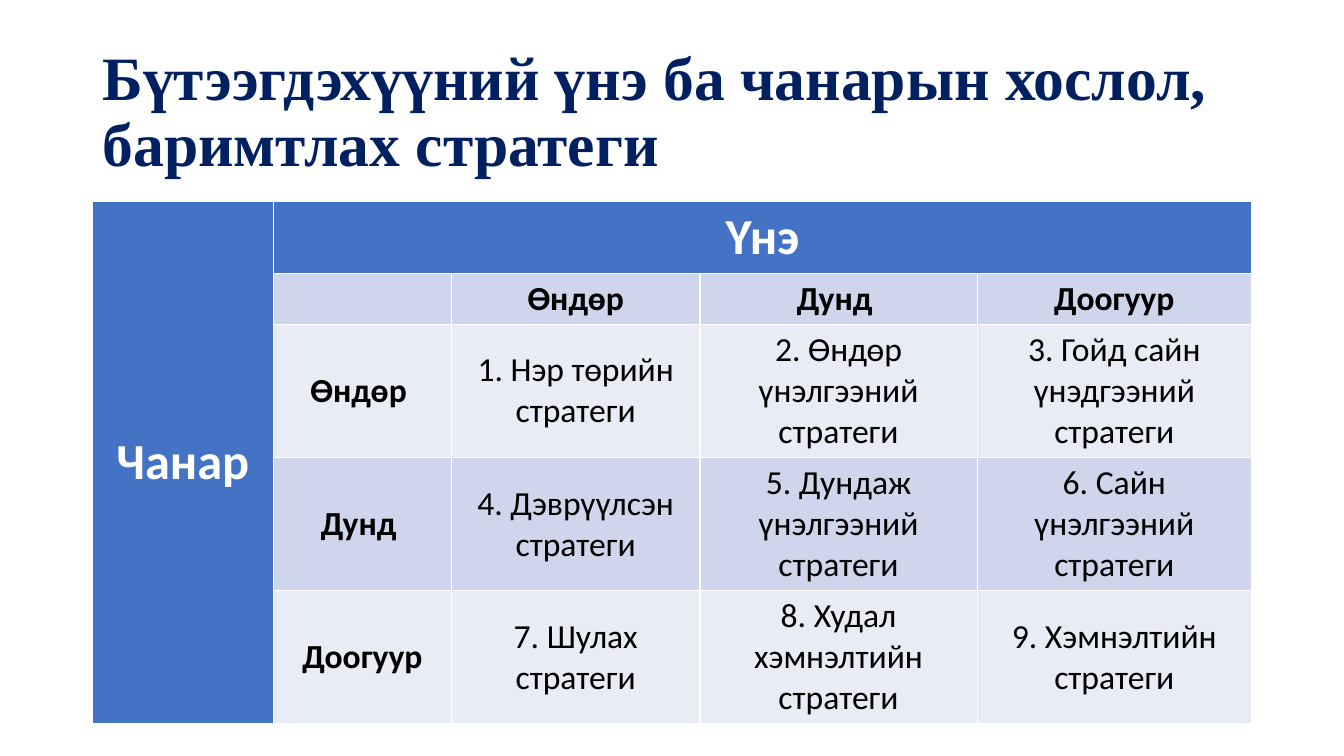
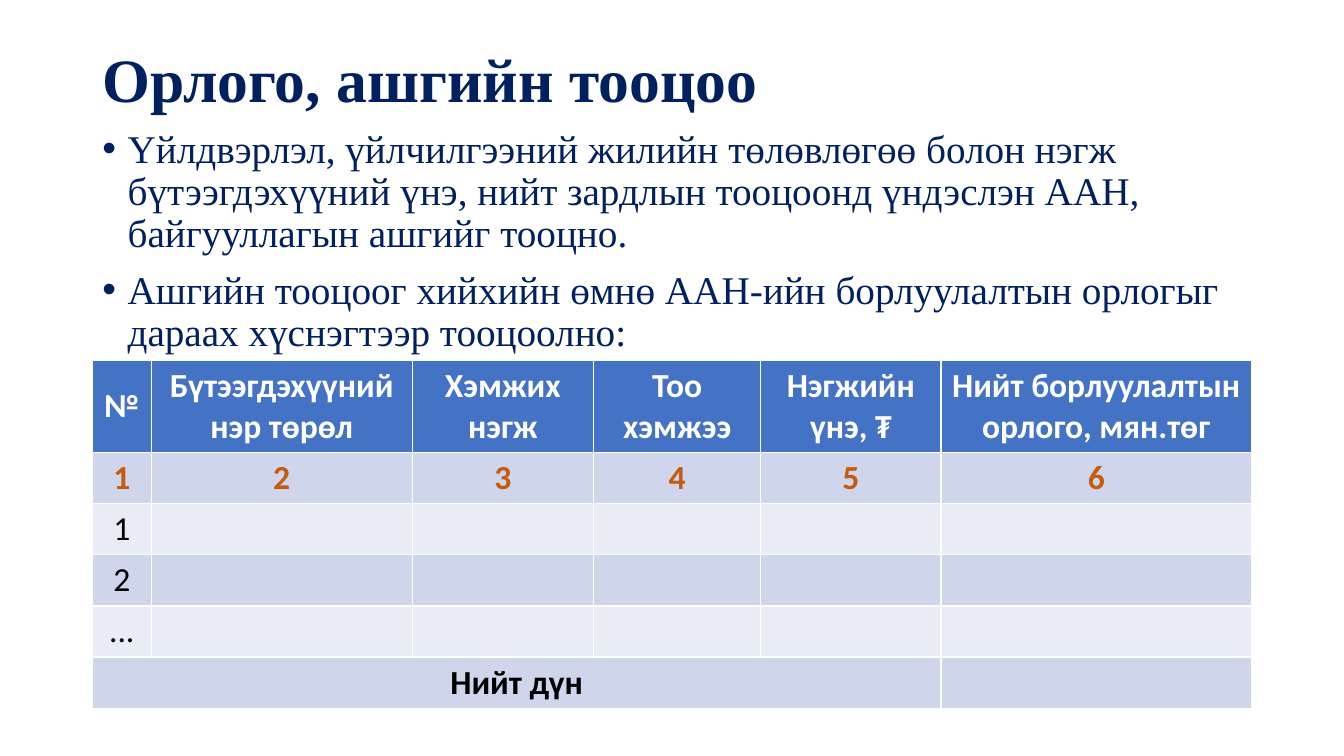
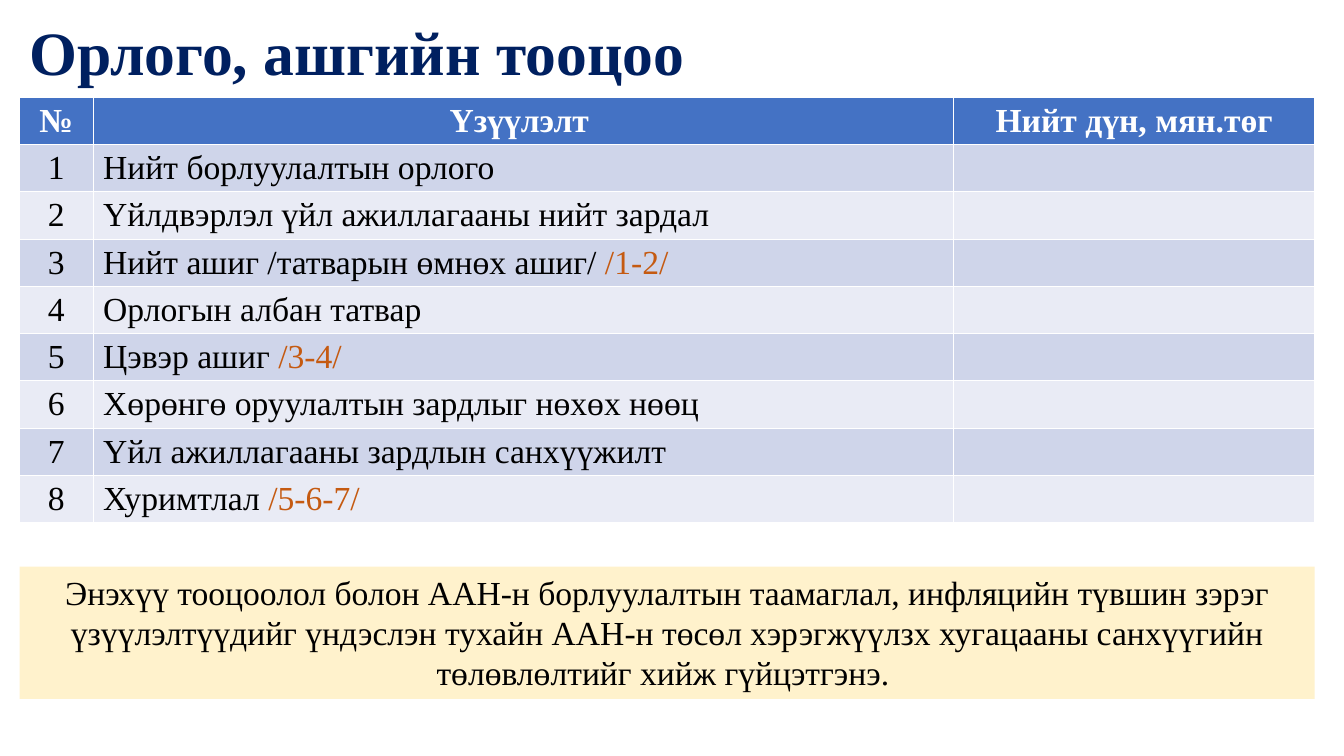
import pptx
import pptx.dml.color
import pptx.enum.shapes
import pptx.enum.text
import pptx.util

Pt = pptx.util.Pt
ALIGN = pptx.enum.text.PP_ALIGN
MIDDLE = pptx.enum.text.MSO_ANCHOR.MIDDLE

NAVY, BLUE, ORANGE = "002060", "4472C4", "C55A11"
BLACK, WHITE, CREAM = "000000", "FFFFFF", "FFF2CC"
BANDS = ("E9EBF5", "CFD5EA")
SERIF, SANS = "Times New Roman", "Calibri"
TITLE_ONLY, TITLE_AND_BODY = 5, 1


def rgb(value):
    return pptx.dml.color.RGBColor.from_string(value)


def write(p, text, size=24, font=SANS, color=BLACK, bold=False, align=ALIGN.CENTER):
    """Append one formatted run to a paragraph."""
    p.alignment = align
    r = p.add_run()
    r.text = text
    r.font.size = Pt(size)
    r.font.name = font
    r.font.bold = bold
    r.font.color.rgb = rgb(color)


def place(sp, box):
    sp.left, sp.top, sp.width, sp.height = (Pt(v) for v in box)


def add_slide(prs, layout, title, box):
    slide = prs.slides.add_slide(prs.slide_layouts[layout])
    for ph in list(slide.placeholders):
        if ph.placeholder_format.type in (
            pptx.enum.shapes.PP_PLACEHOLDER.DATE,
            pptx.enum.shapes.PP_PLACEHOLDER.FOOTER,
            pptx.enum.shapes.PP_PLACEHOLDER.SLIDE_NUMBER,
        ):
            ph.element.getparent().remove(ph.element)
    sp = slide.shapes.title
    place(sp, box)
    tf = sp.text_frame
    tf.auto_size = pptx.enum.text.MSO_AUTO_SIZE.NONE
    tf.vertical_anchor = MIDDLE
    p = tf.paragraphs[0]
    p.line_spacing = 0.9
    write(p, title, size=44, font=SERIF, color=NAVY, bold=True, align=ALIGN.LEFT)
    return slide


def add_bullets(slide, items, box):
    sp = slide.placeholders[1]
    place(sp, box)
    tf = sp.text_frame
    tf.auto_size = pptx.enum.text.MSO_AUTO_SIZE.NONE
    for i, item in enumerate(items):
        p = tf.add_paragraph() if i else tf.paragraphs[0]
        pPr = p._p.get_or_add_pPr()
        pPr.set("marL", str(Pt(18)))
        pPr.set("indent", str(Pt(-18)))
        p.line_spacing = 0.9
        p.space_before = Pt(10 if i else 0)
        write(p, item, size=28, font=SERIF, color=NAVY, align=ALIGN.LEFT)


def add_grid(slide, left, top, widths, heights, rows, style, merges=()):
    """Add a banded table; style(row, col) gives the text format of a cell.

    A cell is a string, or a pair of a string and an orange formula.
    """
    tbl = slide.shapes.add_table(
        len(heights), len(widths), Pt(left), Pt(top), Pt(sum(widths)), Pt(sum(heights))
    ).table
    tbl.horz_banding = False
    for col, width in zip(tbl.columns, widths):
        col.width = Pt(width)
    for row, height in zip(tbl.rows, heights):
        row.height = Pt(height)
    for r, texts in enumerate(rows):
        for c, text in enumerate(texts):
            cell = tbl.cell(r, c)
            cell.fill.solid()
            cell.fill.fore_color.rgb = rgb(BANDS[r % 2] if r else BLUE)
            cell.vertical_anchor = MIDDLE
            label, formula = text if isinstance(text, tuple) else (text, "")
            fmt = style(r, c)
            p = cell.text_frame.paragraphs[0]
            if label:
                write(p, label, **fmt)
            if formula:
                write(p, formula, **{**fmt, "color": ORANGE})
    for first, last in merges:
        tbl.cell(*first).merge(tbl.cell(*last))


def add_note(slide, text, box):
    sp = slide.shapes.add_shape(
        pptx.enum.shapes.MSO_SHAPE.RECTANGLE, *(Pt(v) for v in box)
    )
    sp.shadow.inherit = False
    sp.fill.solid()
    sp.fill.fore_color.rgb = rgb(CREAM)
    sp.line.fill.background()
    tf = sp.text_frame
    tf.word_wrap = True
    tf.vertical_anchor = pptx.enum.text.MSO_ANCHOR.TOP
    write(tf.paragraphs[0], text, font=SERIF)


def strategy_slide(prs):
    slide = add_slide(
        prs, TITLE_ONLY,
        "Бүтээгдэхүүний үнэ ба чанарын хослол, баримтлах стратеги",
        (66, 28.75, 828, 104.4),
    )

    def style(r, c):
        if r == 0:
            return dict(size=36, color=WHITE, bold=True)
        return dict(bold=r == 1 or c == 1)

    rows = [
        ("Чанар", "Үнэ", "", "", ""),
        ("", "", "Өндөр", "Дунд ", "Доогуур"),
        ("", "Өндөр ", "1. Нэр төрийн стратеги", "2. Өндөр үнэлгээний стратеги",
         "3. Гойд сайн үнэдгээний стратеги"),
        ("", "Дунд ", "4. Дэврүүлсэн стратеги", "5. Дундаж үнэлгээний стратеги",
         "6. Сайн үнэлгээний стратеги"),
        ("", "Доогуур", "7. Шулах стратеги", "8. Худал хэмнэлтийн стратеги",
         "9. Хэмнэлтийн стратеги"),
    ]
    add_grid(
        slide, 66, 144, (129.3, 127.2, 177.5, 198, 196), (51, 36.4, 95, 95, 95),
        rows, style, merges=[((0, 0), (4, 0)), ((0, 1), (0, 4))],
    )


def income_slide(prs):
    slide = add_slide(prs, TITLE_AND_BODY, "Орлого, ашгийн тооцоо", (66, 28.75, 828, 60))
    add_bullets(slide, [
        "Үйлдвэрлэл, үйлчилгээний жилийн төлөвлөгөө болон нэгж бүтээгдэхүүний үнэ, "
        "нийт зардлын тооцоонд үндэслэн ААН, байгууллагын ашгийг тооцно.",
        "Ашгийн тооцоог хийхийн өмнө ААН-ийн борлуулалтын орлогыг дараах хүснэгтээр "
        "тооцоолно:",
    ], (66, 88.75, 828, 397.4))

    def style(r, c):
        return dict(color={0: WHITE, 1: ORANGE}.get(r, BLACK), bold=r in (0, 1, 5))

    blank = ("",) * 5
    rows = [
        ("№", "Бүтээгдэхүүний нэр төрөл", "Хэмжих нэгж", "Тоо хэмжээ",
         "Нэгжийн үнэ, ₮", "Нийт борлуулалтын орлого, мян.төг"),
        tuple("123456"),
        *((mark, *blank) for mark in ("1", "2", "...", "Нийт дүн")),
    ]
    add_grid(
        slide, 66, 257.5, (42, 186.5, 129.5, 119.5, 128.75, 221.75),
        (65.5,) + (36.4,) * 5, rows, style, merges=[((5, 0), (5, 4))],
    )


def profit_slide(prs):
    slide = add_slide(prs, TITLE_ONLY, "Орлого, ашгийн тооцоо", (14, 10.8, 925, 58.4))

    def style(r, c):
        return dict(
            font=SERIF, color=BLACK if r else WHITE, bold=r == 0,
            align=ALIGN.LEFT if r and c == 1 else ALIGN.CENTER,
        )

    items = [
        "Нийт борлуулалтын орлого",
        "Үйлдвэрлэл үйл ажиллагааны нийт зардал",
        ("Нийт ашиг /татварын өмнөх ашиг/ ", "/1-2/"),
        "Орлогын албан татвар",
        ("Цэвэр ашиг ", "/3-4/"),
        "Хөрөнгө оруулалтын зардлыг нөхөх нөөц",
        "Үйл ажиллагааны зардлын санхүүжилт",
        ("Хуримтлал ", "/5-6-7/"),
    ]
    rows = [("№", "Үзүүлэлт ", "Нийт дүн, мян.төг")]
    rows += [(str(n), item, "") for n, item in enumerate(items, 1)]
    add_grid(slide, 14, 69.5, (52.5, 614.75, 257.75), (33.75,) * 9, rows, style)
    add_note(
        slide,
        "Энэхүү тооцоолол болон ААН-н борлуулалтын таамаглал, инфляцийн түвшин зэрэг "
        "үзүүлэлтүүдийг үндэслэн тухайн ААН-н төсөл хэрэгжүүлзх хугацааны санхүүгийн "
        "төлөвлөлтийг хийж гүйцэтгэнэ. ",
        (14, 404.75, 925, 94.5),
    )


def main():
    prs = pptx.Presentation()
    prs.slide_width, prs.slide_height = Pt(960), Pt(540)
    strategy_slide(prs)
    income_slide(prs)
    profit_slide(prs)
    prs.save("out.pptx")


if __name__ == "__main__":
    main()
